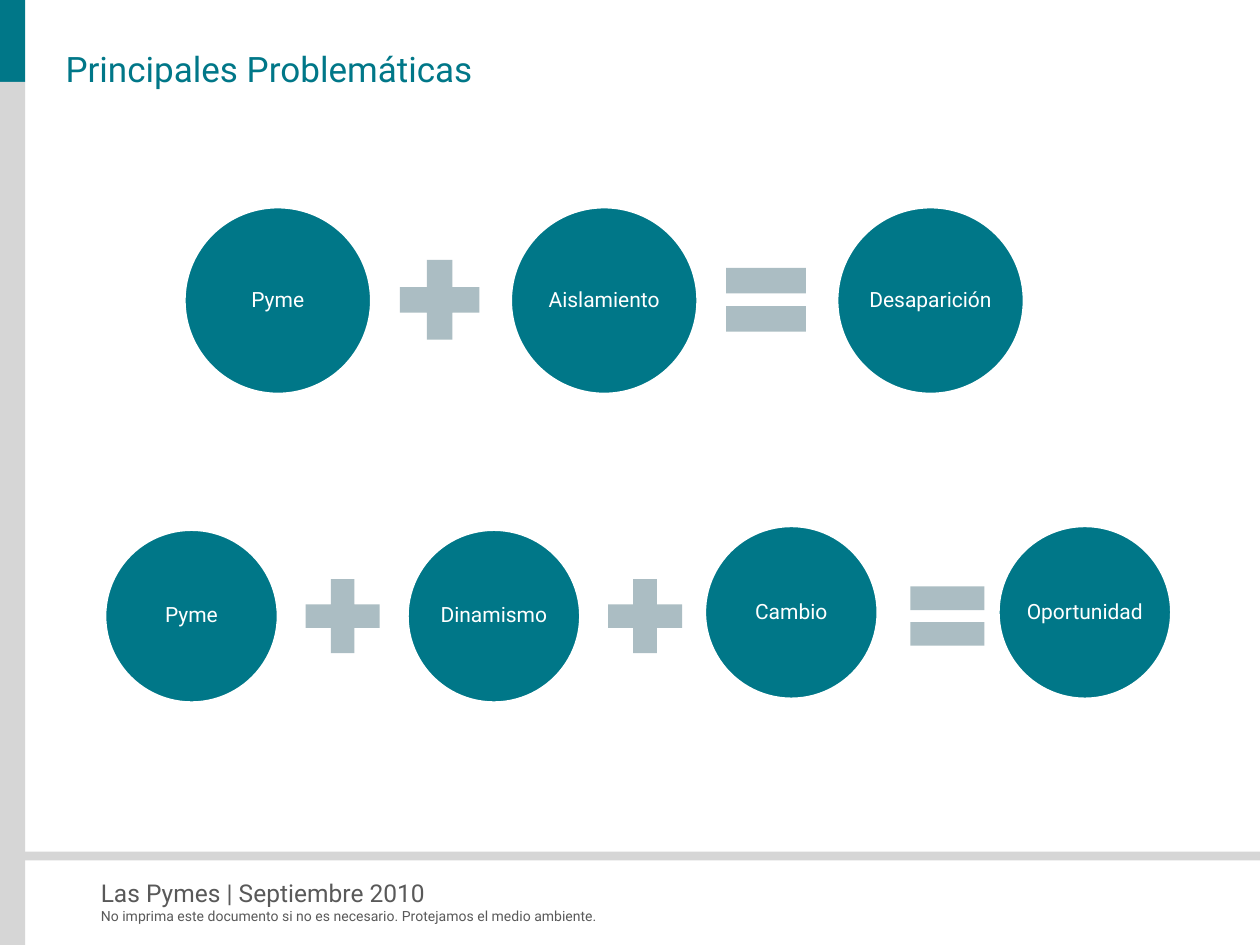
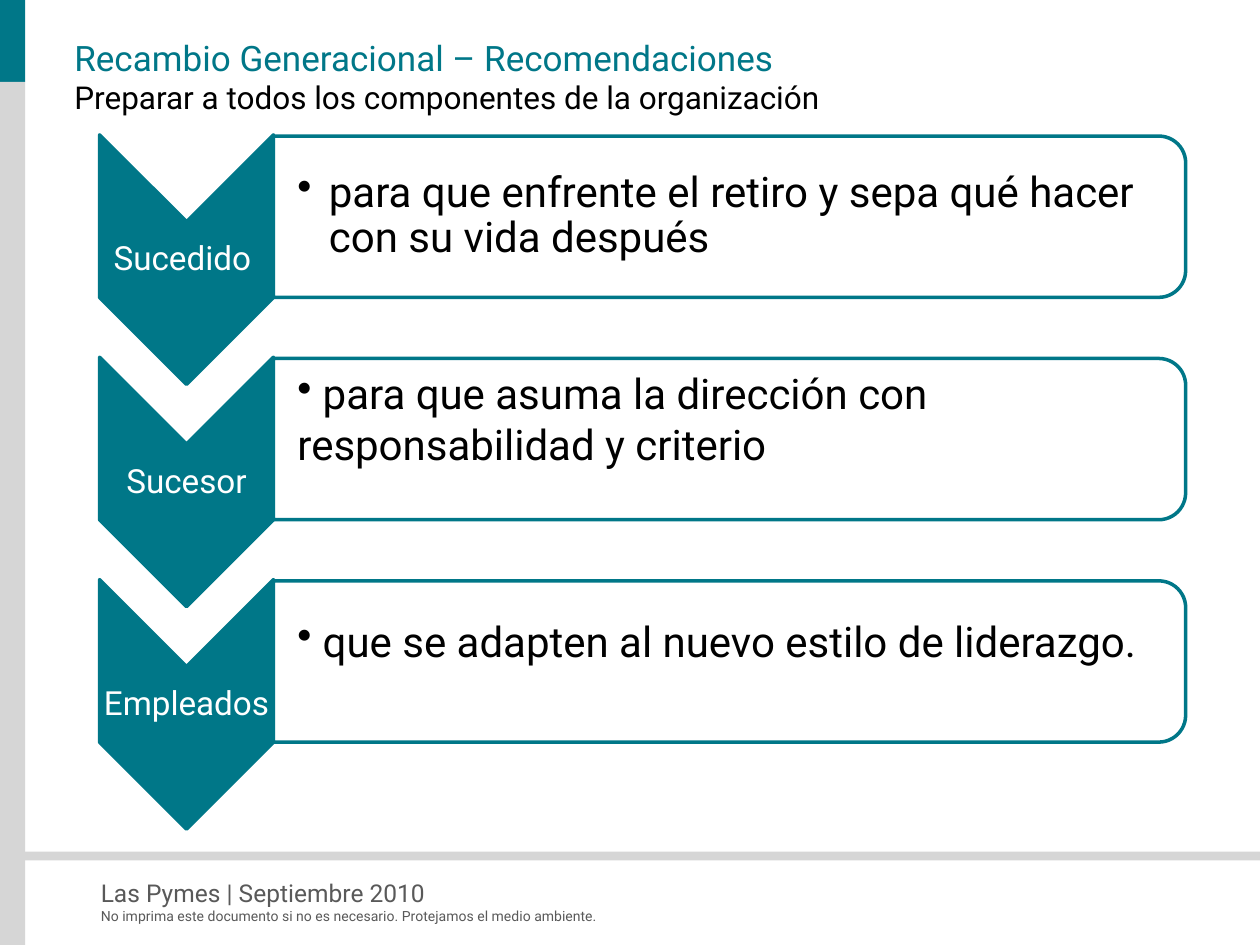
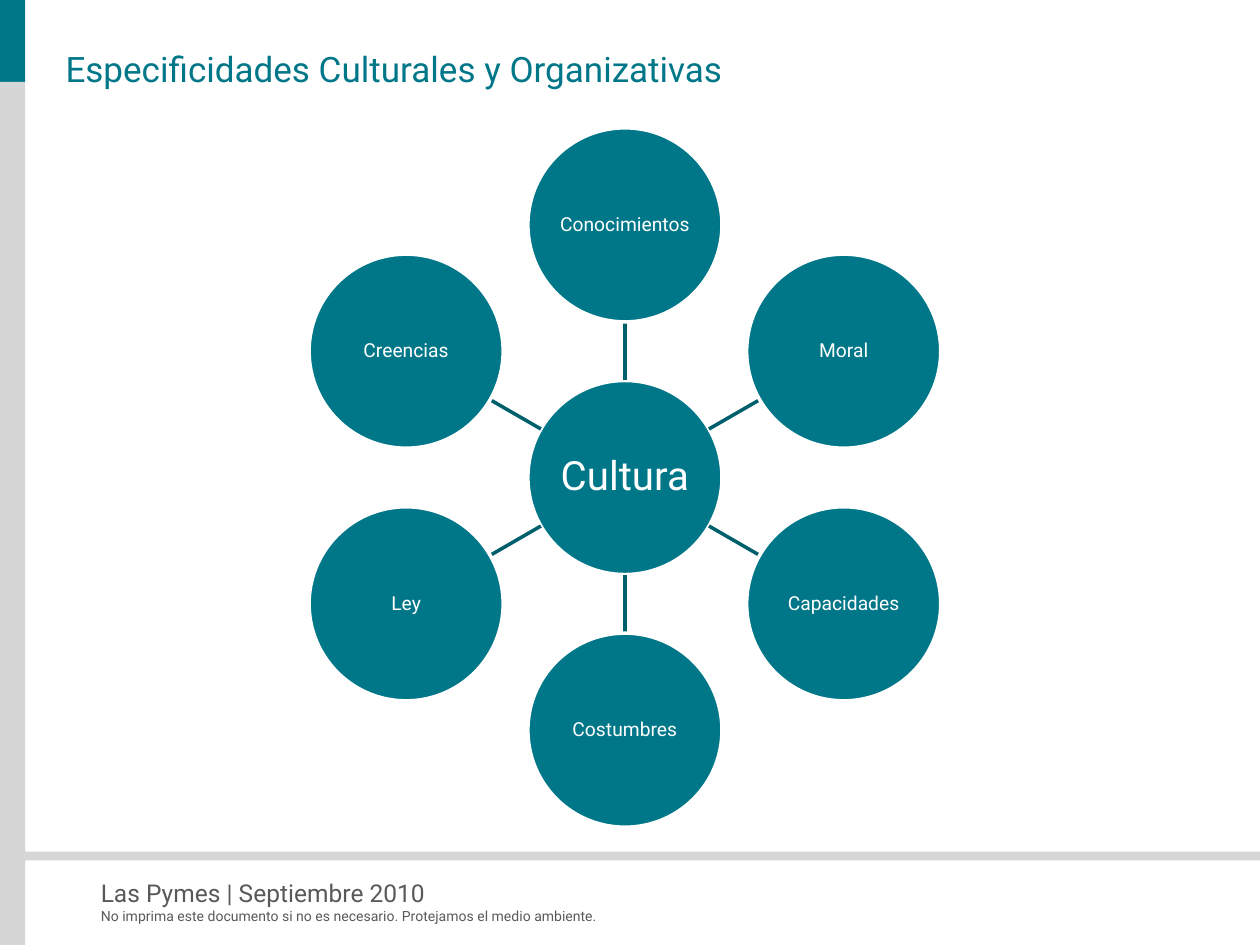
import math

from lxml import etree
from pptx import Presentation
from pptx import util as u
from pptx.dml.color import RGBColor
from pptx.enum import shapes, text
from pptx.oxml import ns

COLORS = {
    "teal": "007788", "spoke": "005F6D", "sign": "ABBDC3", "band": "D6D6D6",
    "footer": "595959", "white": "FFFFFF", "black": "000000",
}
RGB = {name: RGBColor.from_string(value) for name, value in COLORS.items()}
FONT = "Roboto"
KIND = shapes.MSO_SHAPE
ALIGN = text.PP_ALIGN
MIDDLE = text.MSO_ANCHOR.MIDDLE

prs = Presentation()
prs.slide_width, prs.slide_height = u.Inches(10), u.Inches(7.5)

# Grid: 10 columns by 7.5 rows
COL = prs.slide_width / 10
ROW = prs.slide_height / 7.5


def add_box(s, kind, x, y, w, h, fill=None, line=None):
    """Add a preset shape, or a text box when kind is None."""
    at = [int(x * COL), int(y * ROW), int(w * COL), int(h * ROW)]
    if kind is None:
        return s.shapes.add_textbox(*at)
    sp = s.shapes.add_shape(kind, *at)
    sp.shadow.inherit = False
    sp.fill.solid()
    sp.fill.fore_color.rgb = RGB[fill]
    if line:
        sp.line.color.rgb = RGB[line]
        sp.line.width = u.Pt(2)
    else:
        sp.line.fill.background()
    return sp


def put_text(sp, words, size, color, align=ALIGN.CENTER, inset=0.02, spacing=0.9):
    """Write one paragraph, vertically centred, and return it."""
    tf = sp.text_frame
    tf.word_wrap = True
    tf.auto_size = text.MSO_AUTO_SIZE.NONE
    tf.vertical_anchor = MIDDLE
    tf.margin_left = tf.margin_right = tf.margin_top = tf.margin_bottom = u.Inches(inset)
    p = tf.paragraphs[0]
    p.text = words
    p.alignment = align
    p.line_spacing = spacing
    p.font.name, p.font.size, p.font.color.rgb = FONT, u.Pt(size), RGB[color]
    return p


# Slides and titles
layout = prs.slide_layouts[5]
for ph in list(layout.placeholders):
    if ph.placeholder_format.idx:
        ph.element.getparent().remove(ph.element)

titles = [
    ("Principales Problemáticas", 0.52, 0.38),
    ("Recambio Generacional – Recomendaciones", 0.59, 0.6),
    ("Especificidades Culturales y Organizativas", 0.52, 0.38),
]
for words, x, y in titles:
    title = prs.slides.add_slide(layout).shapes.title
    title.left, title.top = int(x * COL), int(y * ROW)
    title.width, title.height = int(9.24 * COL), int(0.32 * ROW)
    put_text(title, words, 20, "teal", ALIGN.LEFT, 0, 1.0)
problems, succession, culture = prs.slides

# Bands and footer, moved to the shared layout
bands = [
    (0, 0, 0.2, 0.65, "teal"),
    (0, 0.65, 0.2, 6.85, "band"),
    (0.17, 6.76, 9.83, 0.07, "band"),
]
footers = [
    ("Las Pymes | Septiembre 2010", 6.97, 7.18, 0.24, 14),
    ("No imprima este documento si no es necesario. Protejamos el medio ambiente.",
     7.2, 6.65, 0.13, 8),
]
shared = [add_box(problems, KIND.RECTANGLE, *band) for band in bands]
for words, y, w, h, size in footers:
    sp = add_box(problems, None, 0.8, y, w, h)
    put_text(sp, words, size, "footer", ALIGN.LEFT, 0, 1.0)
    sp.text_frame.vertical_anchor = text.MSO_ANCHOR.TOP
    shared.append(sp)
for sp in shared:
    layout.shapes.element.append(sp.element)

# Slide 1: two equations of circles and signs
PLUS, EQUAL = KIND.MATH_PLUS, KIND.MATH_EQUAL
equations = [
    # circle size, circles, sign size, first sign, sign pitch, signs
    (1.49, [("Pyme", 1.46, 1.64), ("Aislamiento", 4.05, 1.64), ("Desaparición", 6.64, 1.64)],
     0.86, (3.06, 1.95), 2.59, [PLUS, EQUAL]),
    (1.38, [("Pyme", 0.83, 4.2), ("Dinamismo", 3.23, 4.2), ("Cambio", 5.59, 4.17),
            ("Oportunidad", 7.92, 4.17)],
     0.8, (2.32, 4.49), 2.4, [PLUS, PLUS, EQUAL]),
]
for size, circles, sign_size, (sign_x, sign_y), pitch, signs in equations:
    for words, x, y in circles:
        sp = add_box(problems, KIND.OVAL, x, y, size, size, "teal", "white")
        put_text(sp, words, 12, "white")
    for i, sign in enumerate(signs):
        add_box(problems, sign, sign_x + i * pitch, sign_y, sign_size, sign_size, "sign")

# Slide 2: subtitle under the title
tf = succession.shapes.title.text_frame
tf.vertical_anchor = text.MSO_ANCHOR.BOTTOM
p = tf.paragraphs[0]
p.add_line_break()
r = p.add_run()
r.text = "Preparar a todos los componentes de la organización"
r.font.size, r.font.color.rgb = u.Pt(18), RGB["black"]

# Slide 2: chevrons with advice panels
# label, advice, hanging indent, line spacing, bottom inset
steps = [
    ("Sucedido ", "para que enfrente el retiro y sepa qué hacer con su vida después",
     0.25, 0.9, 0.02),
    ("Sucesor", " para que asuma la dirección con responsabilidad y criterio", 0, 1.0, 0.35),
    ("Empleados", " que se adapten al nuevo estilo de liderazgo.", 0, 1.0, 0.35),
]
for i, (label, advice, indent, spacing, bottom) in enumerate(steps):
    y = 1.07 + i * 1.765
    chevron = add_box(succession, KIND.CHEVRON, 0.49, y + 0.3, 1.98, 1.38, "teal", "teal")
    chevron.rotation = 90
    put_text(add_box(succession, None, 0.79, y + 0.7, 1.38, 0.59), label, 19, "white",
             inset=0.01)

    panel = add_box(succession, KIND.ROUND_2_SAME_RECTANGLE, 5.15, y - 2.97, 1.28, 7.24,
                    "white", "teal")
    panel.rotation = 90
    fill = panel.element.spPr.find(ns.qn("a:solidFill"))
    etree.SubElement(fill[0], ns.qn("a:alpha"), val="90000")

    sp = add_box(succession, None, 2.17, y + 0.07, 7.18, 1.16)
    p = put_text(sp, advice, 24, "black", ALIGN.LEFT, spacing=spacing)
    sp.text_frame.margin_left = u.Inches(0.19)
    sp.text_frame.margin_bottom = u.Inches(bottom)
    pPr = p._p.get_or_add_pPr()
    pPr.set("marL", str(u.Inches(indent)))
    pPr.set("indent", str(-u.Inches(indent)))
    bullet = etree.Element(ns.qn("a:buChar"), char="•")
    pPr.find(ns.qn("a:defRPr")).addprevious(bullet)

# Slide 3: hub and satellites, clockwise from the top
HUB_X, HUB_Y, SIZE, ORBIT = 4.96, 3.79, 1.54, 2.005
hub = add_box(culture, KIND.OVAL, HUB_X - SIZE / 2, HUB_Y - SIZE / 2, SIZE, SIZE,
              "teal", "white")
put_text(hub, "Cultura", 23, "white")
topics = ["Conocimientos", "Moral", "Capacidades", "Costumbres", "Ley", "Creencias"]
for i, topic in enumerate(topics):
    angle = math.radians(i * 360 / len(topics) - 90)
    dx, dy = math.cos(angle), math.sin(angle)
    ends = []
    for radius in (SIZE / 2, ORBIT - SIZE / 2):
        ends += [int((HUB_X + radius * dx) * COL), int((HUB_Y + radius * dy) * ROW)]
    spoke = culture.shapes.add_connector(shapes.MSO_CONNECTOR.STRAIGHT, *ends)
    spoke.line.color.rgb = RGB["spoke"]
    spoke.line.width = u.Pt(2)
    etree.SubElement(spoke.element.spPr, ns.qn("a:effectLst"))

    sp = add_box(culture, KIND.OVAL, HUB_X + ORBIT * dx - SIZE / 2,
                 HUB_Y + ORBIT * dy - SIZE / 2, SIZE, SIZE, "teal", "white")
    put_text(sp, topic, 11, "white", inset=0.01)

prs.save("out.pptx")
